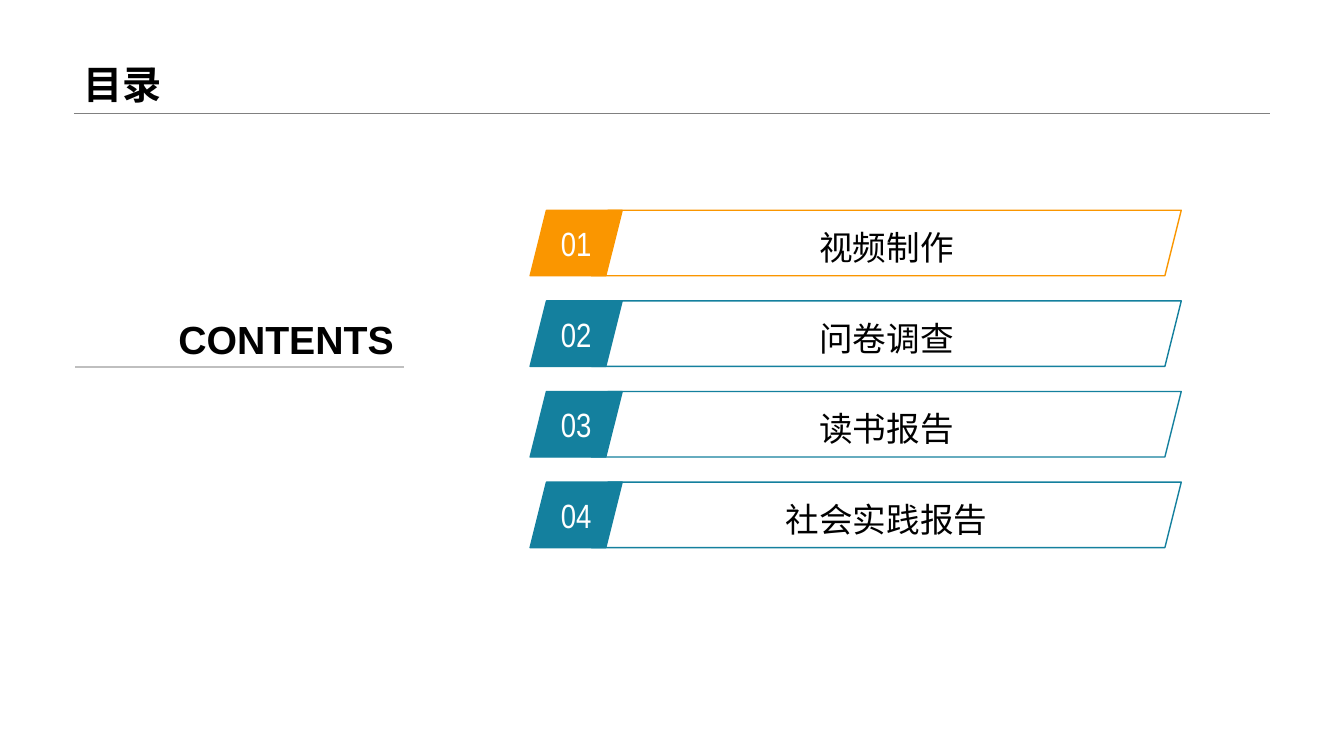
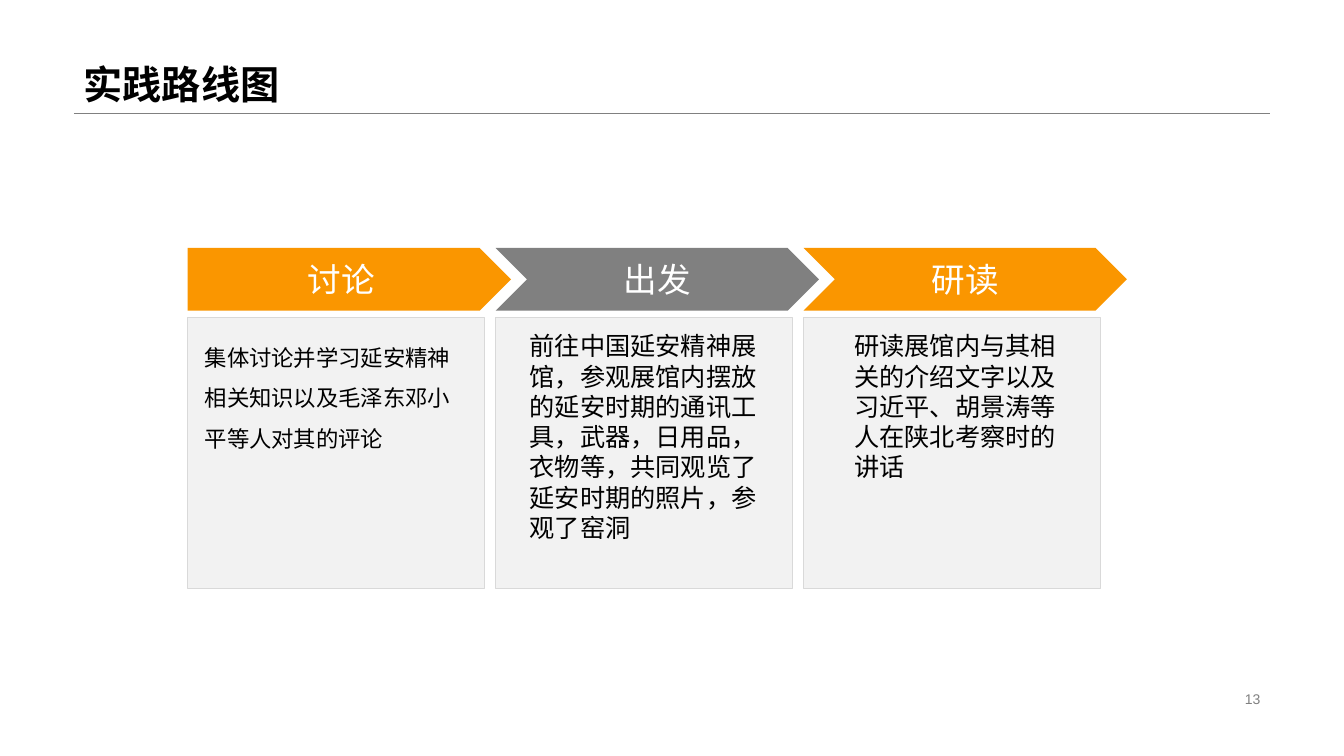
from dataclasses import dataclass

from lxml.etree import SubElement
from pptx import Presentation
from pptx.dml.color import RGBColor
from pptx.enum.shapes import MSO_CONNECTOR, MSO_SHAPE
from pptx.enum.text import MSO_ANCHOR, PP_ALIGN
from pptx.oxml.ns import qn
from pptx.util import Cm, Pt


@dataclass(frozen=True)
class Theme:
    """Colours, fonts and type sizes shared by the slides."""

    black: RGBColor = RGBColor(0x00, 0x00, 0x00)
    white: RGBColor = RGBColor(0xFF, 0xFF, 0xFF)
    orange: RGBColor = RGBColor(0xFA, 0x96, 0x00)
    teal: RGBColor = RGBColor(0x14, 0x80, 0x9E)
    gray: RGBColor = RGBColor(0x80, 0x80, 0x80)
    rule: RGBColor = RGBColor(0xBF, 0xBF, 0xBF)
    panel: RGBColor = RGBColor(0xF2, 0xF2, 0xF2)
    border: RGBColor = RGBColor(0xD9, 0xD9, 0xD9)
    font: str = "Arial"
    narrow: str = "Arial Narrow"
    title: int = 28
    heading: int = 24
    body: int = 18
    small: int = 16
    footer: int = 10


THEME = Theme()
MARGIN, CONTENT_WIDTH, TITLE_HEIGHT = Cm(1.86), Cm(30.15), Cm(2.85)


def write(shape, text, size, color=THEME.black, font=THEME.font, bold=False,
          align=PP_ALIGN.LEFT, anchor=MSO_ANCHOR.MIDDLE, spacing=1.0):
    """Put one styled paragraph into a shape."""
    frame = shape.text_frame
    frame.word_wrap = True
    frame.vertical_anchor = anchor
    paragraph = frame.paragraphs[0]
    paragraph.text = text
    paragraph.alignment = align
    paragraph.line_spacing = spacing
    paragraph.font.name = font
    paragraph.font.size = Pt(size)
    paragraph.font.bold = bold
    paragraph.font.color.rgb = color


def add_text(slide, box, text, size, **style):
    """Add a text box at the given box."""
    write(slide.shapes.add_textbox(*box), text, size, **style)


def add_block(slide, kind, box, fill=None, line=None, line_width=1):
    """Add a flat preset shape with optional fill and outline."""
    shape = slide.shapes.add_shape(kind, *box)
    shape.shadow.inherit = False
    if fill is None:
        shape.fill.background()
    else:
        shape.fill.solid()
        shape.fill.fore_color.rgb = fill
    if line is None:
        shape.line.fill.background()
    else:
        shape.line.color.rgb = line
        shape.line.width = Pt(line_width)
    return shape


def add_rule(slide, left, top, width, color, weight):
    """Add a horizontal line without shadow."""
    rule = slide.shapes.add_connector(MSO_CONNECTOR.STRAIGHT, left, top, left + width, top)
    rule.line.color.rgb = color
    rule.line.width = Pt(weight)
    SubElement(rule._element.spPr, qn("a:effectLst"))


def add_titled_slide(presentation, title):
    """Add a blank slide with the shared title and rule."""
    slide = presentation.slides.add_slide(presentation.slide_layouts[6])
    add_rule(slide, MARGIN, TITLE_HEIGHT, CONTENT_WIDTH, THEME.gray, 0.25)
    add_text(slide, (MARGIN, 0, CONTENT_WIDTH, TITLE_HEIGHT), title, THEME.title,
             bold=True, anchor=MSO_ANCHOR.BOTTOM, spacing=0.9)
    return slide


def add_page_number(slide, number):
    """Add the page number at the bottom right."""
    width = Cm(8.08)
    box = (MARGIN + CONTENT_WIDTH - width, Cm(17.32), width, Cm(0.58))
    add_text(slide, box, str(number), THEME.footer, color=THEME.gray, align=PP_ALIGN.RIGHT)


def add_contents_label(slide, left, top, width, height):
    """Add the underlined contents label."""
    add_rule(slide, left, top + height, width, THEME.rule, 1.5)
    add_text(slide, (left, top, width, height), "CONTENTS", THEME.title, bold=True,
             align=PP_ALIGN.RIGHT, anchor=MSO_ANCHOR.BOTTOM)


def add_agenda(slide, left, top, width, height, entries, current):
    """Add numbered agenda bars, with the current one highlighted."""
    bar_height, badge_width, label_offset = Cm(1.65), Cm(2.32), Cm(1.55)
    pitch = (height - bar_height) // (len(entries) - 1)
    for index, entry in enumerate(entries):
        color = THEME.orange if index == current else THEME.teal
        bar_top = top + index * pitch
        badge = add_block(slide, MSO_SHAPE.PARALLELOGRAM,
                          (left, bar_top, badge_width, bar_height), color, color)
        write(badge, f"{index + 1:02}", THEME.heading, THEME.white, THEME.narrow,
              align=PP_ALIGN.CENTER)
        badge.text_frame.word_wrap = False
        label = add_block(slide, MSO_SHAPE.PARALLELOGRAM,
                          (left + label_offset, bar_top, width - label_offset, bar_height),
                          line=color)
        write(label, entry, THEME.heading, align=PP_ALIGN.CENTER, spacing=1.2)


@dataclass(frozen=True)
class Step:
    """One stage of the route, with the placing of its text."""

    heading: str
    detail: str
    color: RGBColor
    inset: float
    text_width: float
    size: int = THEME.body
    spacing: float = 1.0


def add_step(slide, left, top, height, kind, step):
    """Add an arrow heading above a panel with its detail."""
    arrow_width, arrow_height = Cm(8.15), Cm(1.58)
    panel_width, panel_offset, text_offset = Cm(7.47), Cm(1.74), Cm(1.96)
    arrow = add_block(slide, kind, (left, top, arrow_width, arrow_height), step.color)
    write(arrow, step.heading, THEME.heading, THEME.white, THEME.narrow,
          align=PP_ALIGN.CENTER)
    add_block(slide, MSO_SHAPE.RECTANGLE,
              (left, top + panel_offset, panel_width, height - panel_offset),
              THEME.panel, THEME.border, 0.25)
    add_text(slide, (left + Cm(step.inset), top + text_offset,
                     Cm(step.text_width), height - text_offset),
             step.detail, step.size, anchor=MSO_ANCHOR.TOP, spacing=step.spacing)


def add_route(slide, left, top, height, steps):
    """Add the steps from left to right at equal distances."""
    pitch = Cm(7.76)
    for index, step in enumerate(steps):
        kind = MSO_SHAPE.CHEVRON if index else MSO_SHAPE.PENTAGON
        add_step(slide, left + index * pitch, top, height, kind, step)


def build_contents(presentation):
    """Build the contents slide."""
    slide = add_titled_slide(presentation, "目录")
    add_agenda(slide, Cm(13.36), Cm(5.3), Cm(16.41), Cm(8.5),
               ["视频制作", "问卷调查", "读书报告", "社会实践报告"], current=0)
    add_contents_label(slide, Cm(1.9), Cm(6.45), Cm(8.27), Cm(2.8))


def build_route(presentation):
    """Build the route slide."""
    slide = add_titled_slide(presentation, "实践路线图")
    add_page_number(slide, 13)
    add_route(slide, Cm(4.73), Cm(6.25), Cm(8.57), [
        Step("讨论", "集体讨论并学习延安精神相关知识以及毛泽东邓小平等人对其的评论",
             THEME.orange, 0.18, 7.14, THEME.small, 1.5),
        Step("出发", "前往中国延安精神展馆，参观展馆内摆放的延安时期的通讯工具，武器，"
             "日用品，衣物等，共同观览了延安时期的照片，参观了窑洞",
             THEME.gray, 0.61, 6.53),
        Step("研读", "研读展馆内与其相关的介绍文字以及习近平、胡景涛等人在陕北考察时的讲话",
             THEME.orange, 1.03, 5.77),
    ])


def main():
    """Build and save the presentation."""
    presentation = Presentation()
    presentation.slide_width = Cm(33.87)
    presentation.slide_height = Cm(19.05)
    build_contents(presentation)
    build_route(presentation)
    presentation.save("out.pptx")


if __name__ == "__main__":
    main()
